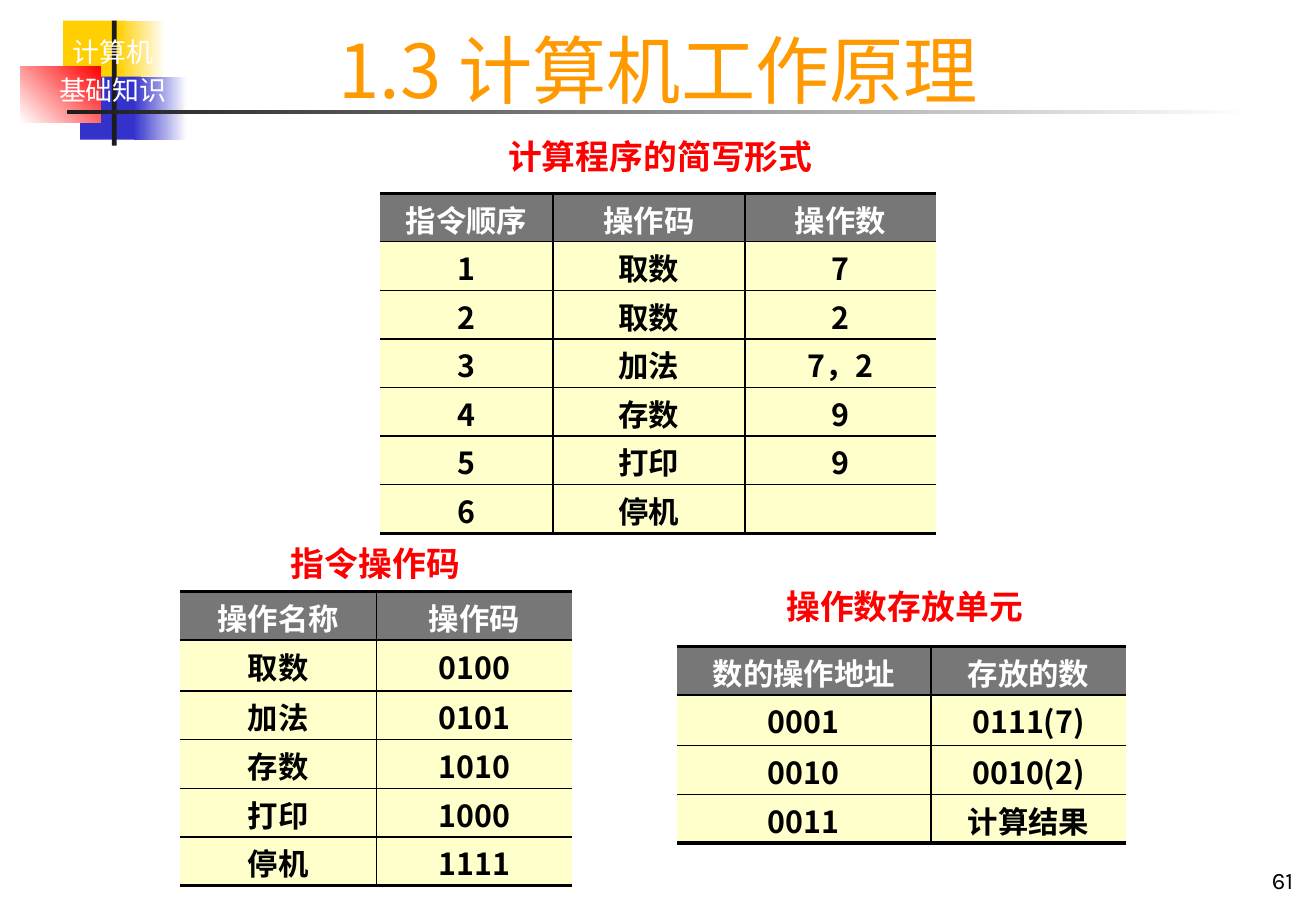
from lxml import etree
from pptx import Presentation
from pptx.dml.color import RGBColor
from pptx.enum.shapes import MSO_SHAPE
from pptx.enum.text import MSO_ANCHOR as ANCHOR, PP_ALIGN as ALIGN
from pptx.oxml.ns import qn
from pptx.util import Inches, Pt

COLORS = {
    "yellow": "FFCF01", "blue": "3333CC", "red": "FF0000", "ink": "1C1C1C",
    "white": "FFFFFF", "black": "000000", "orange": "FF9900",
    "header": "777777", "body": "FFFFCC",
}
CJK = "Noto Sans CJK SC"


def rgb(name):
    return RGBColor.from_string(COLORS[name])


def style(p, size, color, font, bold=False, align=ALIGN.CENTER):
    p.alignment = align
    f = p.font
    f.size, f.bold, f.name = Pt(size), bold, font
    f.color.rgb = rgb(color)
    # East Asian typeface follows the Latin one
    latin = p._p.pPr.find(qn("a:defRPr")).find(qn("a:latin"))
    ea = etree.Element(qn("a:ea"), typeface=CJK)
    latin.addnext(ea)


def set_frame(tf, anchor, side=0.1):
    tf.word_wrap = True
    tf.vertical_anchor = anchor
    tf.margin_left = tf.margin_right = Inches(side)
    tf.margin_top = tf.margin_bottom = 0


def add_text(slide, box, lines, anchor, **look):
    tf = slide.shapes.add_textbox(*map(Inches, box)).text_frame
    set_frame(tf, anchor)
    for i, line in enumerate(lines):
        p = tf.paragraphs[0] if i == 0 else tf.add_paragraph()
        p.text = line
        style(p, **look)
    return tf


def add_block(slide, box, start, end=None, angle=0):
    sp = slide.shapes.add_shape(MSO_SHAPE.RECTANGLE, *map(Inches, box))
    sp.shadow.inherit = False
    sp.line.fill.background()
    if end is None:
        sp.fill.solid()
        sp.fill.fore_color.rgb = rgb(start)
        return
    sp.fill.gradient()
    sp.fill.gradient_angle = angle
    for stop, color in zip(sp.fill.gradient_stops, (start, end)):
        stop.color.rgb = rgb(color)


def add_emblem(slide, x, y):
    """Coloured blocks, crossing bars and the course name."""
    blocks = [
        (0.35, 0, 0.52, 0.52, "yellow"),
        (0.8, 0, 0.39, 0.52, "yellow", "white"),
        (0.49, 0.46, 0.5, 0.52, "blue"),
        (0.93, 0.46, 0.44, 0.52, "blue", "white"),
        (0, 0.38, 0.66, 0.46, "white", "red", 45),
        (0.75, 0, 0.04, 1.03, "ink"),
        (0.38, 0.74, 9.75, 0.03, "ink", "white"),
    ]
    for dx, dy, w, h, *fill in blocks:
        add_block(slide, (x + dx, y + dy, w, h), *fill)
    tf = add_text(slide, (x + 0.13, y + 0.08, 1.26, 0.69), ["计算机", "基础知识"],
                  ANCHOR.TOP, size=16, color="white", font="Karla")
    for p in tf.paragraphs:
        p.line_spacing = Pt(22.5)


def add_title(slide, box, text):
    sp = slide.shapes.title
    sp.left, sp.top, sp.width, sp.height = map(Inches, box)
    sp.text_frame.text = text
    set_frame(sp.text_frame, ANCHOR.BOTTOM)
    style(sp.text_frame.paragraphs[0], 44, "orange", CJK)


def set_borders(cell, **widths):
    """Widths in points by side (L, R, T, B); 0 means no line."""
    tcPr = cell._tc.get_or_add_tcPr()
    for side, width in widths.items():
        ln = etree.SubElement(tcPr, qn(f"a:ln{side}"), w=str(Pt(width)))
        if width:
            fill = etree.SubElement(ln, qn("a:solidFill"))
            etree.SubElement(fill, qn("a:srgbClr"), val=COLORS["black"])
        else:
            etree.SubElement(ln, qn("a:noFill"))


def add_grid(slide, x, y, cols, rows, tall_row=None):
    heights = [0.42 if i == tall_row else 0.4 for i in range(len(rows))]
    frame = slide.shapes.add_table(len(rows), len(cols), Inches(x), Inches(y),
                                   Inches(sum(cols)), Inches(sum(heights)))
    table = frame.table
    for col, w in zip(table.columns, cols):
        col.width = Inches(w)
    last_row, last_col = len(rows) - 1, len(cols) - 1
    for i, row in enumerate(rows):
        table.rows[i].height = Inches(heights[i])
        for j, text in enumerate(row):
            cell = table.cell(i, j)
            set_borders(cell, L=1 if j else 0, R=1 if j < last_col else 0,
                        T=1 if i else 2.25, B=1 if i < last_row else 2.25)
            cell.fill.solid()
            cell.fill.fore_color.rgb = rgb("body" if i else "header")
            cell.margin_top, cell.margin_bottom = Inches(0.03), 0
            p = cell.text_frame.paragraphs[0]
            p.text = text
            style(p, 18, "black" if i else "white", CJK, bold=True)


def add_caption(slide, x, y, w, text):
    add_text(slide, (x, y, w, 0.43), [text], ANCHOR.MIDDLE,
             size=20, color="red", font="Arial", bold=True)


def main():
    prs = Presentation()
    prs.slide_width, prs.slide_height = Inches(10.83), Inches(7.5)
    slide = prs.slides.add_slide(prs.slide_layouts[5])

    add_emblem(slide, 0.17, 0.17)
    add_title(slide, (1.64, 0.08, 7.56, 0.85), "1.3 计算机工作原理")

    # Program in short form
    add_caption(slide, 3.76, 1.07, 3.35, "计算程序的简写形式")
    add_grid(slide, 3.13, 1.59, [1.42, 1.58, 1.57], [
        ("指令顺序", "操作码", "操作数"),
        ("1", "取数", "7"), ("2", "取数", "2"), ("3", "加法", "7，2"),
        ("4", "存数", "9"), ("5", "打印", "9"), ("6", "停机", ""),
    ])

    # Operation codes
    add_caption(slide, 2.1, 4.42, 1.98, "指令操作码")
    add_grid(slide, 1.48, 4.87, [1.62, 1.61], [
        ("操作名称", "操作码"), ("取数", "0100"), ("加法", "0101"),
        ("存数", "1010"), ("打印", "1000"), ("停机", "1111"),
    ], tall_row=1)

    # Operand storage
    add_caption(slide, 6.28, 4.77, 2.33, "操作数存放单元")
    add_grid(slide, 5.57, 5.32, [2.09, 1.61], [
        ("数的操作地址", "存放的数"), ("0001", "0111(7)"),
        ("0010", "0010(2)"), ("0011", "计算结果"),
    ], tall_row=1)

    # Page number
    add_text(slide, (9.59, 7.08, 1.15, 0.28), ["61"], ANCHOR.BOTTOM,
             size=14, color="black", font="Karla", align=ALIGN.RIGHT)

    prs.save("out.pptx")


if __name__ == "__main__":
    main()
